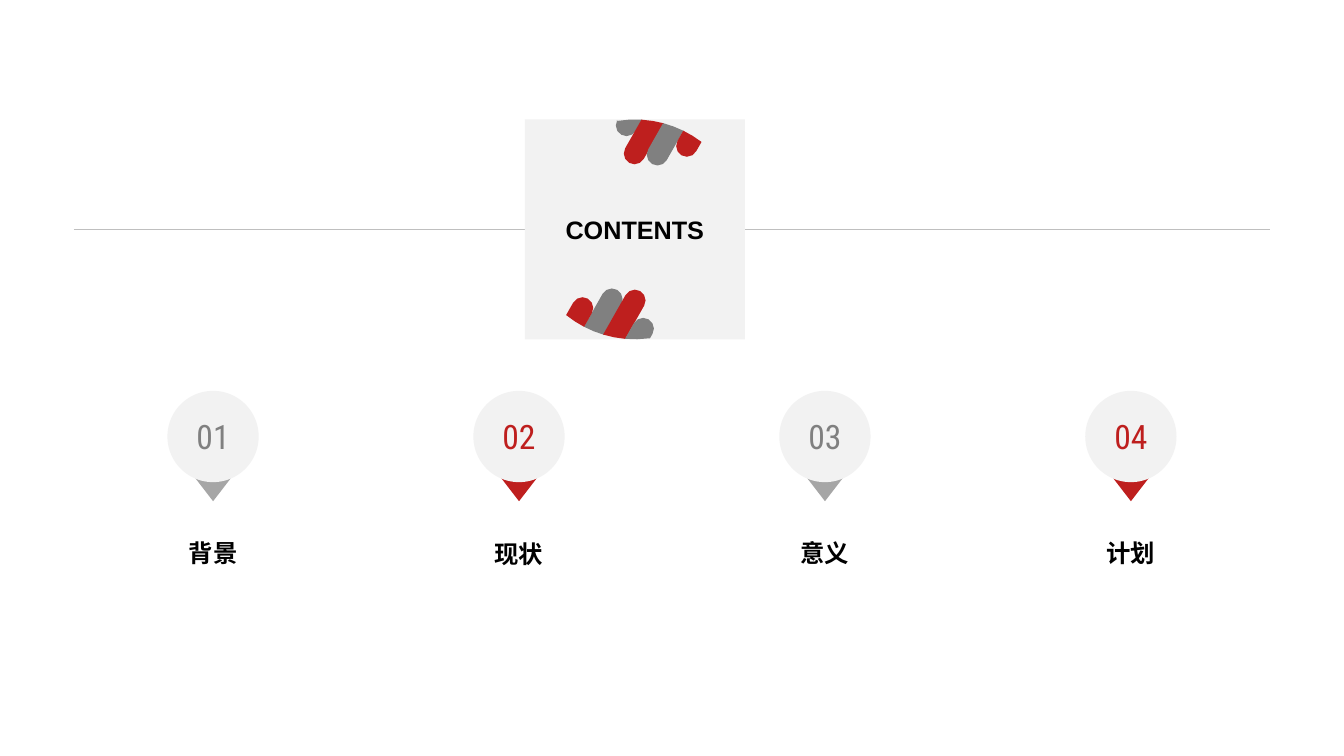
"""Build a contents slide with a striped medallion and four numbered pins."""
from math import cos, pi, radians, sin, sqrt

from lxml.etree import SubElement
from pptx import Presentation
from pptx.dml.color import RGBColor
from pptx.enum.shapes import MSO_CONNECTOR, MSO_SHAPE
from pptx.enum.text import MSO_ANCHOR, PP_ALIGN
from pptx.oxml.ns import qn
from pptx.util import Cm, Pt

RED, GRAY, SILVER, PALE, BLACK = "BE1F1E", "808080", "A6A6A6", "F2F2F2", "000000"
TITLE = "CONTENTS"
PINS = [
    ("01", "背景", GRAY, SILVER, 13.43),
    ("02", "现状", RED, RED, 13.46),
    ("03", "意义", GRAY, SILVER, 13.43),
    ("04", "计划", RED, RED, 13.43),
]
UP, DOWN = 1, -1
STRIPES = [
    (15.79, 3.16, UP, GRAY),
    (15.99, 3.87, UP, RED),
    (16.57, 3.9, UP, GRAY),
    (17.31, 3.68, UP, RED),
    (15.42, 7.54, DOWN, GRAY),
    (16, 7.57, DOWN, RED),
    (14.68, 7.76, DOWN, RED),
    (16.21, 8.28, DOWN, GRAY),
]
HUB_X, HUB_Y, HUB_R = 16, 5.78, 2.77
STRIPE_R, STRIPE_TILT = 0.27, radians(29.6)
CAP_STEPS, RIM_STEPS = 6, 2
FIRST_X, PITCH, PIN_Y, PIN_D = 5.37, 7.71, 9.85, 2.3
TIP_Y, TIP_W, TIP_H = 11.67, 1.48, 0.96
LABEL_W, LABEL_H = 6.99, 1.02


def color(value):
    return RGBColor.from_string(value)


def paint(sp, fill):
    sp.shadow.inherit = False
    sp.fill.solid()
    sp.fill.fore_color.rgb = color(fill)
    sp.line.fill.background()
    return sp


def add_shape(s, kind, cx, y, w, h, fill):
    sp = s.shapes.add_shape(kind, Cm(cx - w / 2), Cm(y), Cm(w), Cm(h))
    return paint(sp, fill)


def write(sp, text, size, font, fill, bold=False):
    tf = sp.text_frame
    tf.text = text
    p = tf.paragraphs[0]
    p.alignment = PP_ALIGN.CENTER
    f = p.runs[0].font
    f.size, f.name, f.bold = Pt(size), font, bold
    f.color.rgb = color(fill)
    return tf


def add_rule(s):
    ln = s.shapes.add_connector(
        MSO_CONNECTOR.STRAIGHT, Cm(1.86), Cm(HUB_Y), Cm(32), Cm(HUB_Y))
    ln.line.color.rgb = color("BFBFBF")
    ln.line.width = Pt(0.25)
    SubElement(ln.element.spPr, qn("a:effectLst"))


def add_hub(s):
    hub = s.shapes.title
    hub.left, hub.top = Cm(HUB_X - HUB_R), Cm(HUB_Y - HUB_R)
    hub.width = hub.height = Cm(2 * HUB_R)
    geom = SubElement(hub.element.spPr, qn("a:prstGeom"), prst="ellipse")
    SubElement(geom, qn("a:avLst"))
    paint(hub, PALE)
    tf = write(hub, TITLE, 18, "Arial", BLACK, True)
    tf.vertical_anchor = MSO_ANCHOR.MIDDLE
    tf.word_wrap = False
    hub.element.getparent().append(hub.element)


def add_stripe(s, x, y, way, fill):
    ux, uy = way * sin(STRIPE_TILT), -way * cos(STRIPE_TILT)
    vx, vy = -uy, ux
    middle = (x - HUB_X) * vx + (y - HUB_Y) * vy
    points = []
    for i in range(CAP_STEPS + 1):
        angle = pi * i / CAP_STEPS
        side, depth = -STRIPE_R * cos(angle), STRIPE_R * sin(angle)
        points.append((x + side * vx - depth * ux, y + side * vy - depth * uy))
    for i in range(RIM_STEPS + 1):
        across = middle + STRIPE_R * (1 - 2 * i / RIM_STEPS)
        reach = sqrt(HUB_R ** 2 - across ** 2)
        points.append((HUB_X + across * vx + reach * ux,
                       HUB_Y + across * vy + reach * uy))
    points = [(Cm(px), Cm(py)) for px, py in points]
    builder = s.shapes.build_freeform(*points[0])
    builder.add_line_segments(points[1:], close=True)
    paint(builder.convert_to_shape(), fill)


def add_pin(s, cx, number, label, ink, tip_fill, label_y):
    tip = add_shape(s, MSO_SHAPE.ISOSCELES_TRIANGLE, cx, TIP_Y, TIP_W, TIP_H, tip_fill)
    tip.rotation = 180
    disc = add_shape(s, MSO_SHAPE.OVAL, cx, PIN_Y, PIN_D, PIN_D, PALE)
    tf = write(disc, number, 24, "Roboto Condensed", ink)
    tf.vertical_anchor = MSO_ANCHOR.MIDDLE
    box = s.shapes.add_textbox(
        Cm(cx - LABEL_W / 2), Cm(label_y), Cm(LABEL_W), Cm(LABEL_H))
    write(box, label, 17.4, "Arial", BLACK, True).word_wrap = True


def main():
    prs = Presentation()
    prs.slide_width, prs.slide_height = Cm(33.87), Cm(19.05)
    s = prs.slides.add_slide(prs.slide_layouts[5])
    add_rule(s)
    add_hub(s)
    for stripe in STRIPES:
        add_stripe(s, *stripe)
    for i, pin in enumerate(PINS):
        add_pin(s, FIRST_X + i * PITCH, *pin)
    prs.save("out.pptx")


if __name__ == "__main__":
    main()
